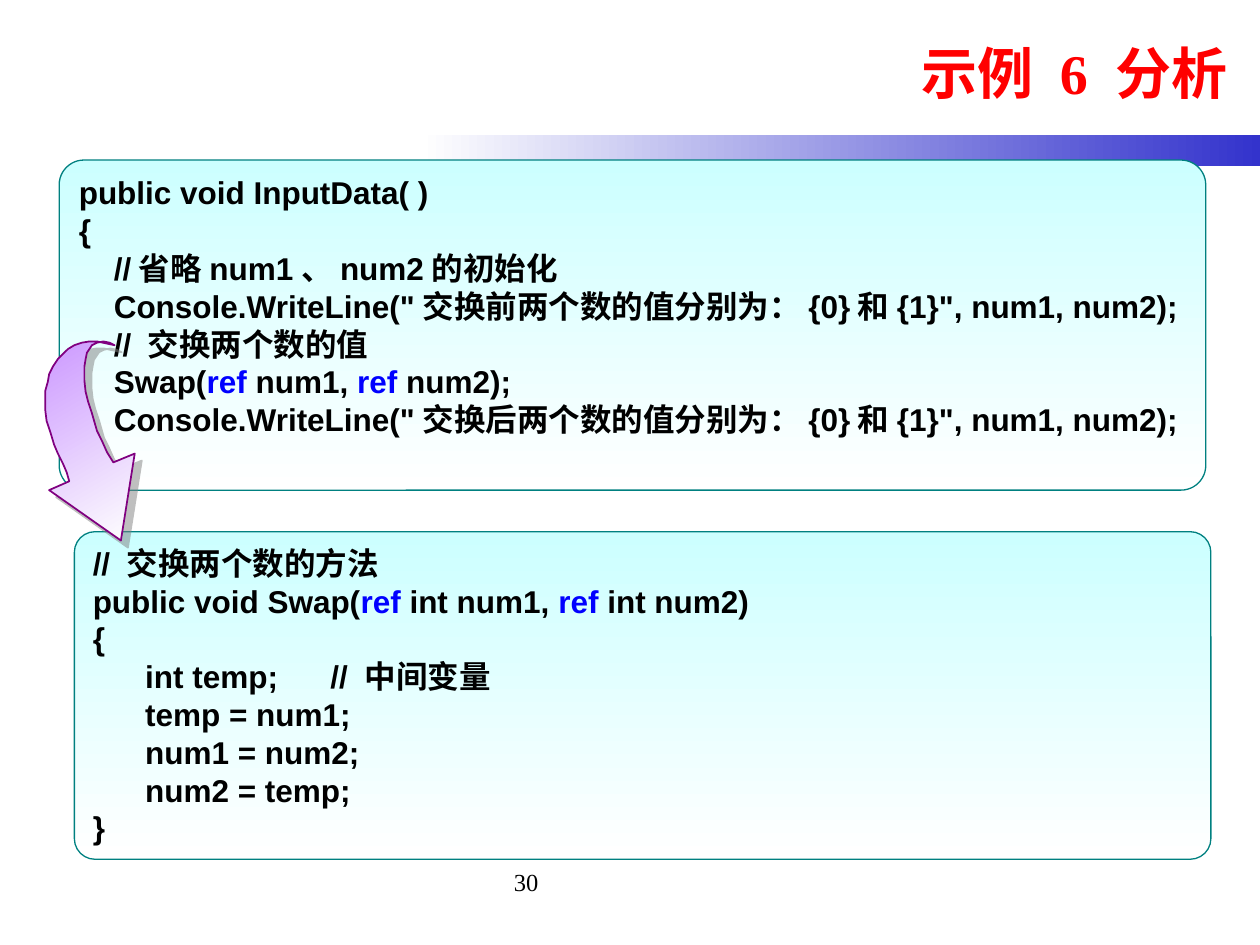
import lxml.etree
import pptx
import pptx.dml.color
import pptx.enum.shapes
import pptx.enum.text
import pptx.oxml.ns
import pptx.util

Inches = pptx.util.Inches
COLORS = {
    "title": "FF0000", "text": "000000", "keyword": "0000FF",
    "bar": "3333CC", "white": "FFFFFF", "box": "CCFFFF", "box_line": "008080",
    "arrow": "CC99FF", "arrow_end": "FEFEFE", "arrow_line": "800080", "shadow": "808080",
}
INPUT_CODE = [
    "public void InputData( )",
    "{",
    "    //省略num1、num2的初始化",
    "    Console.WriteLine(\"交换前两个数的值分别为：{0}和{1}\", num1, num2);",
    "    // 交换两个数的值",
    "    Swap(|ref| num1, |ref| num2);",
    "    Console.WriteLine(\"交换后两个数的值分别为：{0}和{1}\", num1, num2);",
    "}",
]
SWAP_CODE = [
    "// 交换两个数的方法",
    "public void Swap(|ref |int num1, |ref| int num2)",
    "{",
    "      int temp;      // 中间变量",
    "      temp = num1;",
    "      num1 = num2;",
    "      num2 = temp;",
    "}",
]
ARROW_POINTS = [
    (0.96, 4.29), (0.39, 3.89), (0.55, 3.82), (0.53, 3.75), (0.5, 3.68), (0.46, 3.6),
    (0.43, 3.53), (0.4, 3.43), (0.37, 3.34), (0.36, 3.26), (0.36, 3.1), (0.38, 3.03),
    (0.39, 2.97), (0.42, 2.91), (0.46, 2.85), (0.5, 2.81), (0.54, 2.77), (0.59, 2.74),
    (0.65, 2.72), (0.71, 2.71), (0.77, 2.71), (0.91, 2.74), (0.87, 2.72), (0.82, 2.71),
    (0.77, 2.72), (0.73, 2.74), (0.69, 2.8), (0.68, 2.85), (0.67, 2.91), (0.67, 3.02),
    (0.68, 3.11), (0.7, 3.19), (0.73, 3.28), (0.77, 3.42), (0.81, 3.5), (0.85, 3.59),
    (0.9, 3.67), (1.07, 3.6),
]


class SlideBuilder:
    """Holds the fonts and colours and draws on the current slide."""

    serif = "Times New Roman"
    sans = "Arial"

    def __init__(self, slide):
        self.slide = slide

    def color(self, name):
        return pptx.dml.color.RGBColor.from_string(COLORS[name])

    def set_font(self, paragraph, name, size, color, bold=False):
        font = paragraph.font
        font.name, font.size, font.bold = name, pptx.util.Pt(size), bold
        font.color.rgb = self.color(color)

    def paint(self, shape, start, end, angle, line=None, width=0.75):
        shape.shadow.inherit = False
        shape.fill.gradient()
        shape.fill.gradient_angle = angle
        for stop, name in zip(shape.fill.gradient_stops, (start, end)):
            stop.color.rgb = self.color(name)
        if line:
            shape.line.color.rgb = self.color(line)
            shape.line.width = pptx.util.Pt(width)
        else:
            shape.line.fill.background()

    def bar(self, left, top, width, height):
        shape = self.slide.shapes.add_shape(
            pptx.enum.shapes.MSO_SHAPE.RECTANGLE,
            Inches(left), Inches(top), Inches(width), Inches(height))
        self.paint(shape, "white", "bar", 0)

    def text(self, left, top, width, height, text, size, color="text", bold=False, align=None):
        shape = self.slide.shapes.add_textbox(
            Inches(left), Inches(top), Inches(width), Inches(height))
        frame = shape.text_frame
        frame.word_wrap = True
        paragraph = frame.paragraphs[0]
        paragraph.text = text
        paragraph.alignment = align
        self.set_font(paragraph, self.serif, size, color, bold)
        return frame

    def code_box(self, left, top, width, height, corner, lines):
        shape = self.slide.shapes.add_shape(
            pptx.enum.shapes.MSO_SHAPE.ROUNDED_RECTANGLE,
            Inches(left), Inches(top), Inches(width), Inches(height))
        shape.adjustments[0] = corner
        self.paint(shape, "box", "white", 270, "box_line")
        frame = shape.text_frame
        frame.word_wrap = True
        frame.vertical_anchor = pptx.enum.text.MSO_ANCHOR.TOP
        for number, line in enumerate(lines):
            paragraph = frame.add_paragraph() if number else frame.paragraphs[0]
            paragraph.alignment = pptx.enum.text.PP_ALIGN.LEFT
            self.set_font(paragraph, self.sans, 18, "text", True)
            for position, part in enumerate(line.split("|")):
                run = paragraph.add_run()
                run.text = part
                if position % 2:
                    run.font.color.rgb = self.color("keyword")

    def curved_arrow(self, points):
        start, *others = [(Inches(x), Inches(y)) for x, y in points]
        builder = self.slide.shapes.build_freeform(*start)
        builder.add_line_segments(others, close=True)
        shape = builder.convert_to_shape()
        self.paint(shape, "arrow", "arrow_end", 300, "arrow_line", 1)
        qn = pptx.oxml.ns.qn
        effects = shape.element.spPr.find(qn("a:effectLst"))
        shadow = lxml.etree.SubElement(
            effects, qn("a:outerShdw"), dist=str(pptx.util.Pt(5.7)), dir="2700000",
            algn="ctr", rotWithShape="0")
        shade = lxml.etree.SubElement(shadow, qn("a:srgbClr"), val=COLORS["shadow"])
        lxml.etree.SubElement(shade, qn("a:alpha"), val="50000")


def main():
    presentation = pptx.Presentation()
    presentation.slide_width, presentation.slide_height = Inches(10), Inches(7.5)
    builder = SlideBuilder(presentation.slides.add_slide(presentation.slide_layouts[6]))
    builder.bar(3.33, 1.07, 6.67, 0.25)
    title = builder.text(1.42, 0.07, 8.42, 1, "示例 6 分析", 32, "title", True,
                         pptx.enum.text.PP_ALIGN.RIGHT)
    title.vertical_anchor = pptx.enum.text.MSO_ANCHOR.MIDDLE
    builder.code_box(0.47, 1.27, 9.1, 2.62, 0.075, INPUT_CODE)
    builder.code_box(0.59, 4.22, 9.02, 2.6, 0.063, SWAP_CODE)
    builder.curved_arrow(ARROW_POINTS)
    builder.text(3.98, 6.83, 2.08, 0.5, "30", 14)
    presentation.save("out.pptx")


if __name__ == "__main__":
    main()
